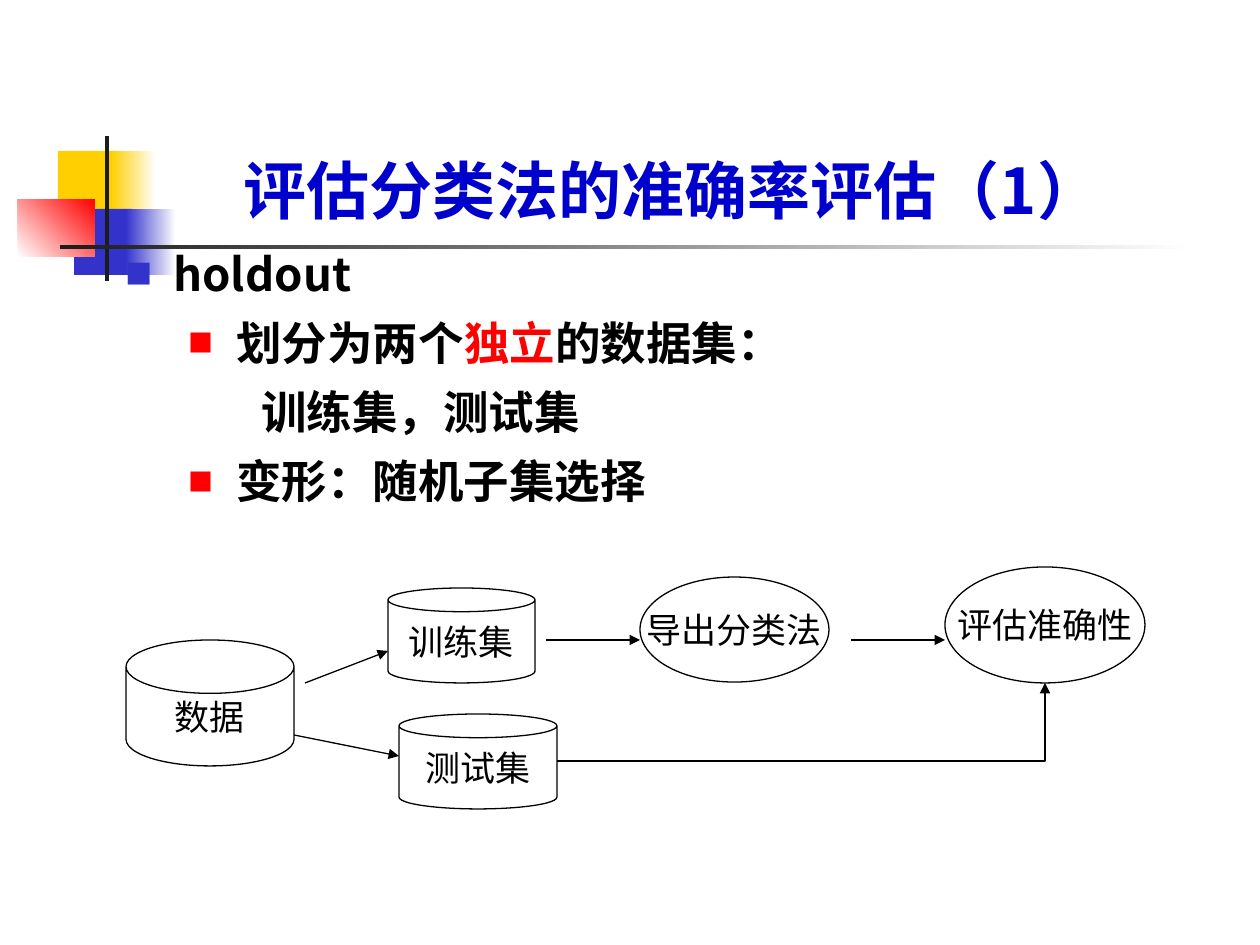
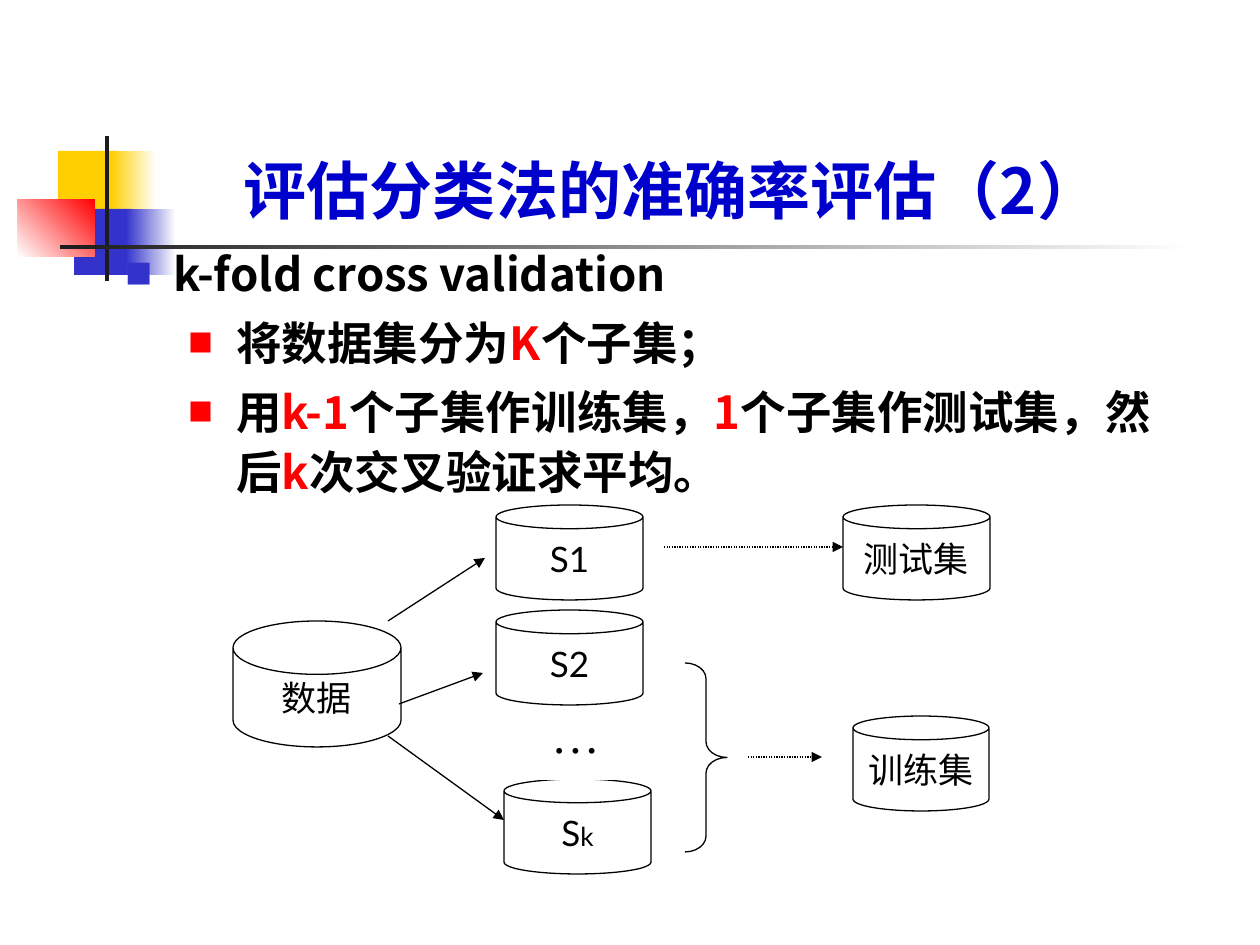
from dataclasses import dataclass

from lxml.etree import SubElement
from pptx import Presentation
from pptx.dml.color import RGBColor
from pptx.enum.dml import MSO_LINE_DASH_STYLE as Dash
from pptx.enum.shapes import MSO_CONNECTOR_TYPE as Link
from pptx.enum.shapes import MSO_SHAPE as Shape
from pptx.enum.text import MSO_ANCHOR as Anchor
from pptx.enum.text import PP_ALIGN as Align
from pptx.oxml.ns import qn
from pptx.util import Pt


@dataclass(frozen=True)
class Theme:
    """Colours, fonts and type sizes of the deck."""
    white: str = "FFFFFF"
    ink: str = "000000"
    bar: str = "1C1C1C"
    yellow: str = "FFCF01"
    blue: str = "3333CC"
    red: str = "FF0000"
    title: str = "0000CC"
    heading_font: str = "Noto Sans CJK SC"
    label_font: str = "Lato"
    dots_font: str = "Times New Roman"
    title_size: int = 36
    body_size: int = 26
    label_size: int = 20
    small_size: int = 15
    dots_size: int = 28
    line: float = 0.75


THEME = Theme()


def px(length):
    """Turn whole pixels into EMU."""
    return round(length * 914400 / 126)


@dataclass(frozen=True)
class Box:
    """A region of the slide in px."""
    left: int
    top: int
    width: int
    height: int

    def inner(self, left, top, width, height):
        """Return a box placed relative to this one."""
        return Box(self.left + left, self.top + top, width, height)

    def point(self, x, y):
        """Return a point placed relative to this box, in EMU."""
        return px(self.left + x), px(self.top + y)

    def emu(self):
        """Return left, top, width and height in EMU."""
        return px(self.left), px(self.top), px(self.width), px(self.height)


SLIDE = Box(0, 0, 1260, 945)
ORNAMENT = Box(18, 136, 1176, 145)
TITLE = Box(135, 139, 1074, 100)
BODY = Box(113, 234, 1071, 635)
HOLDOUT_FLOW = Box(126, 567, 1019, 242)
FOLD_FLOW = Box(233, 505, 757, 369)


def write(para, text, font=THEME.label_font, size=THEME.label_size,
          color=THEME.ink, bold=False):
    """Add one formatted run to a paragraph."""
    span = para.add_run()
    span.text = text
    span.font.name = font
    span.font.size = Pt(size)
    span.font.bold = bold
    span.font.color.rgb = RGBColor.from_string(color)
    SubElement(span.font._element, qn("a:ea"), typeface=THEME.heading_font)


def add_figure(page, kind, box, fill=None, fade=None, angle=0, line=None,
               adjust=()):
    """Draw a preset shape with a plain fill, a fade or no fill."""
    figure = page.shapes.add_shape(kind, *box.emu())
    figure.shadow.inherit = False
    for index, value in enumerate(adjust):
        figure.adjustments[index] = value
    if fade:
        figure.fill.gradient()
        figure.fill.gradient_angle = angle
        for stop, color in zip(figure.fill.gradient_stops, fade):
            stop.color.rgb = RGBColor.from_string(color)
    elif fill:
        figure.fill.solid()
        figure.fill.fore_color.rgb = RGBColor.from_string(fill)
    else:
        figure.fill.background()
    if line:
        figure.line.color.rgb = RGBColor.from_string(line)
        figure.line.width = Pt(THEME.line)
    else:
        figure.line.fill.background()
    return figure


def add_node(page, kind, box, *spans, line=THEME.ink, adjust=()):
    """Draw a white shape with a centred label made of (text, format) spans."""
    node = add_figure(page, kind, box, THEME.white, line=line, adjust=adjust)
    frame = node.text_frame
    frame.word_wrap = False
    frame.vertical_anchor = Anchor.MIDDLE
    para = frame.paragraphs[0]
    para.alignment = Align.CENTER
    for text, style in spans:
        write(para, text, **style)


def add_store(page, box, *spans, lid=0.25):
    """Draw a labelled data cylinder."""
    add_node(page, Shape.CAN, box, *spans, adjust=[lid])


def add_arrow(page, box, start, end, dotted=False, elbow=False):
    """Draw an arrow between two points of a box."""
    kind = Link.ELBOW if elbow else Link.STRAIGHT
    arrow = page.shapes.add_connector(kind, *box.point(*start), *box.point(*end))
    properties = arrow._element.spPr
    if elbow:
        properties.find(qn("a:prstGeom")).set("prst", "bentConnector2")
    arrow.line.color.rgb = RGBColor.from_string(THEME.ink)
    arrow.line.width = Pt(THEME.line)
    if dotted:
        arrow.line.dash_style = Dash.ROUND_DOT
    SubElement(properties.find(qn("a:ln")), qn("a:tailEnd"), type="triangle")
    SubElement(properties, qn("a:effectLst"))


def draw_ornament(page, box):
    """Draw the coloured squares and the crossed bars beside the title."""
    for color, top, solid, fade in (
            (THEME.yellow, 15, (40, 60), (93, 45)),
            (THEME.blue, 73, (56, 58), (108, 50))):
        add_figure(page, Shape.RECTANGLE, box.inner(solid[0], top, solid[1], 66), color)
        add_figure(page, Shape.RECTANGLE, box.inner(fade[0], top, fade[1], 66),
                   fade=(color, THEME.white))
    add_figure(page, Shape.RECTANGLE, box.inner(0, 63, 77, 58),
               fade=(THEME.white, THEME.red), angle=45)
    add_figure(page, Shape.RECTANGLE, box.inner(87, 0, 4, 145), THEME.bar)
    add_figure(page, Shape.RECTANGLE, box.inner(42, 109, 1134, 4),
               fade=(THEME.bar, THEME.white))


def set_title(page, box, text):
    """Place and fill the title placeholder."""
    title = page.shapes.title
    title.left, title.top, title.width, title.height = box.emu()
    frame = title.text_frame
    frame.word_wrap = True
    frame.vertical_anchor = Anchor.MIDDLE
    para = frame.paragraphs[0]
    para.alignment = Align.CENTER
    write(para, text, THEME.heading_font, THEME.title_size, THEME.title, True)


def set_indent(para, margin, color=None, percent=0):
    """Indent a paragraph, with a hanging square bullet if a colour is given."""
    properties = para._p.get_or_add_pPr()
    properties.set("marL", str(px(margin)))
    properties.set("indent", str(px(-48 if color else 0)))
    if not color:
        SubElement(properties, qn("a:buNone"))
        return
    SubElement(SubElement(properties, qn("a:buClr")), qn("a:srgbClr"), val=color)
    SubElement(properties, qn("a:buSzPct"), val=str(percent * 1000))
    SubElement(properties, qn("a:buFont"), typeface=THEME.heading_font)
    SubElement(properties, qn("a:buChar"), char="■")


INDENTS = {
    "head": (48, THEME.blue, 60),
    "item": (111, THEME.red, 55),
    "more": (136,),
}


def add_body(page, box, lines):
    """Write the bullets; every second part of a line is highlighted."""
    frame = page.shapes.add_textbox(*box.emu()).text_frame
    frame.word_wrap = True
    for index, (role, *parts) in enumerate(lines):
        para = frame.add_paragraph() if index else frame.paragraphs[0]
        set_indent(para, *INDENTS[role])
        para.line_spacing = 1.1
        if index:
            para.space_before = Pt(5.2)
        for order, part in enumerate(parts):
            write(para, part, THEME.heading_font, THEME.body_size,
                  THEME.red if order % 2 else THEME.ink, True)


def draw_holdout_flow(page, box):
    """Draw the split into training and test data."""
    add_store(page, box.inner(0, 73, 168, 126), ("数据", {}), lid=0.424)
    add_store(page, box.inner(262, 21, 147, 95), ("训练集", {}))
    add_store(page, box.inner(273, 147, 158, 95), ("测试集", {}))
    add_node(page, Shape.OVAL, box.inner(514, 10, 189, 105), ("导出分类法", {}))
    add_node(page, Shape.OVAL, box.inner(819, 0, 200, 116), ("评估准确性", {}))
    for start, end in (((179, 116), (262, 84)), ((168, 168), (273, 189)),
                       ((420, 73), (514, 73)), ((725, 73), (819, 73))):
        add_arrow(page, box, start, end)
    add_arrow(page, box, (431, 194), (919, 116), elbow=True)


def draw_fold_flow(page, box):
    """Draw the k subsets and their use for testing and training."""
    add_store(page, box.inner(0, 116, 168, 126), ("数据", {}), lid=0.424)
    for left, top, *spans in (
            (263, 0, ("S1", {})),
            (263, 105, ("S2", {})),
            (271, 274, ("S", {}), ("k", {"size": THEME.small_size})),
            (610, 0, ("测试集", {}))):
        add_store(page, box.inner(left, top, 147, 95), *spans)
    add_store(page, box.inner(620, 211, 136, 95), ("训练集", {}))
    for start, end in (((155, 116), (252, 53)), ((166, 199), (250, 168)),
                       ((155, 231), (271, 315))):
        add_arrow(page, box, start, end)
    add_node(page, Shape.RECTANGLE, box.inner(295, 211, 95, 63),
             ("···", {"font": THEME.dots_font, "size": THEME.dots_size}),
             line=THEME.white)
    add_figure(page, Shape.RIGHT_BRACE, box.inner(452, 158, 42, 189),
               line=THEME.ink, adjust=[0.375, 0.5])
    add_arrow(page, box, (431, 42), (610, 42), dotted=True)
    add_arrow(page, box, (515, 252), (589, 252), dotted=True)


def add_page(deck, title, lines, draw_flow, flow_box):
    """Build one slide from its title, bullets and diagram."""
    page = deck.slides.add_slide(deck.slide_layouts.get_by_name("Title Only"))
    draw_ornament(page, ORNAMENT)
    add_body(page, BODY, lines)
    set_title(page, TITLE, title)
    draw_flow(page, flow_box)


def main():
    """Build and save the deck."""
    deck = Presentation()
    deck.slide_width, deck.slide_height = px(SLIDE.width), px(SLIDE.height)
    add_page(deck, "评估分类法的准确率评估（1）", (
        ("head", "holdout"),
        ("item", "划分为两个", "独立", "的数据集："),
        ("more", "训练集，测试集"),
        ("item", "变形：随机子集选择"),
    ), draw_holdout_flow, HOLDOUT_FLOW)
    add_page(deck, "评估分类法的准确率评估（2）", (
        ("head", "k-fold cross validation"),
        ("item", "将数据集分为", "K", "个子集；"),
        ("item", "用", "k-1", "个子集作训练集，", "1",
         "个子集作测试集，然后", "k", "次交叉验证求平均。"),
    ), draw_fold_flow, FOLD_FLOW)
    deck.save("out.pptx")


if __name__ == "__main__":
    main()
